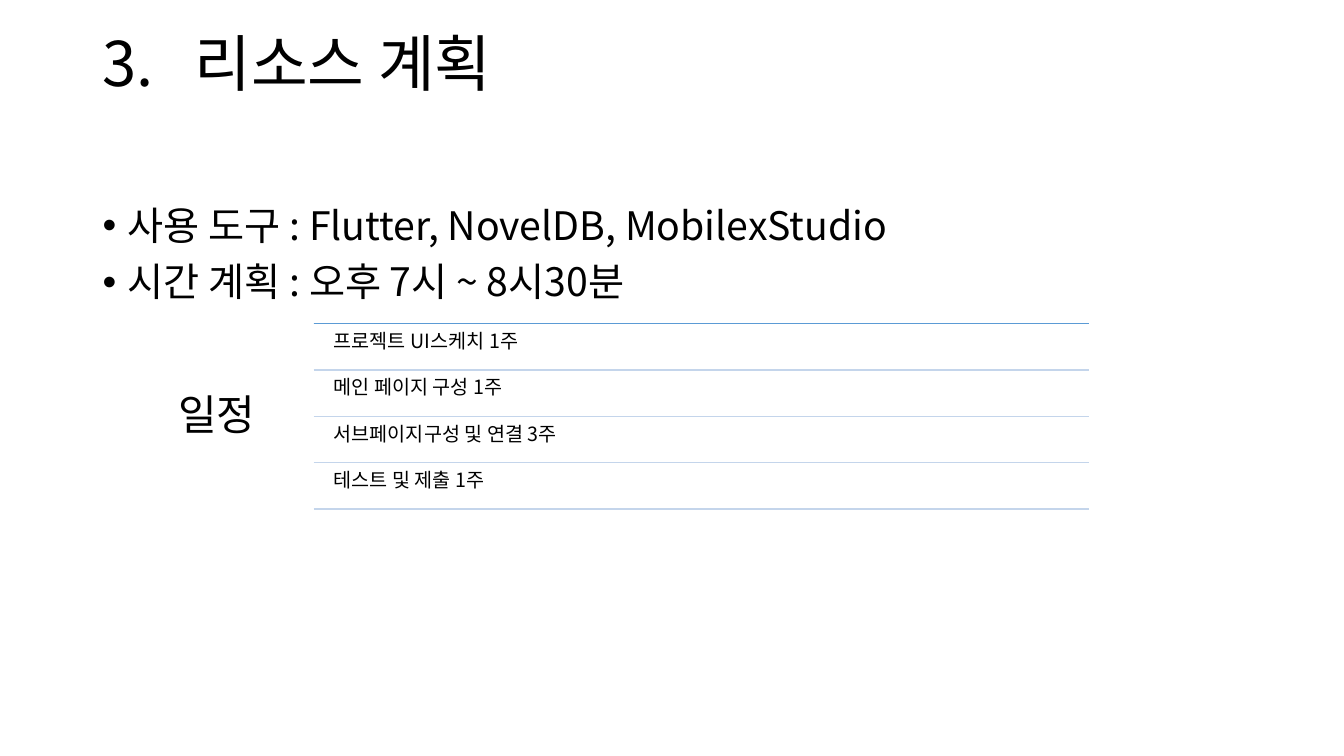
"""Builds a resource plan slide with a title, bullets and a schedule."""
from lxml import etree
from pptx import Presentation
from pptx import util as u
from pptx.dml.color import RGBColor
from pptx.enum import shapes, text
from pptx.oxml.ns import qn

PX = 9144
FONT = "Noto Sans CJK KR"
COLORS = {"ink": "000000", "paper": "FFFFFF", "top": "5B9BD5", "rule": "C4D5EB"}
BULLETS = [
    "사용 도구 : Flutter, NovelDB, MobilexStudio",
    "시간 계획 : 오후 7시 ~ 8시30분",
]
TASKS = [
    "프로젝트 UI스케치 1주",
    "메인 페이지 구성 1주",
    "서브페이지구성 및 연결 3주",
    "테스트 및 제출 1주",
]


def emu(*lengths):
    """Turn px lengths into EMU."""
    return [u.Emu(length * PX) for length in lengths]


def color(name):
    """Look up a named colour."""
    return RGBColor.from_string(COLORS[name])


def add_text(page, box, lines, size, insets=(10, 5), anchor="TOP", align="LEFT",
             before=0, after=0, hang=0, bullet=None):
    """Add a text box with one paragraph per line."""
    frame = page.shapes.add_textbox(*emu(*box)).text_frame
    frame.word_wrap = True
    frame.vertical_anchor = text.MSO_ANCHOR[anchor]
    frame.margin_left = frame.margin_right = emu(insets[0])[0]
    frame.margin_top = frame.margin_bottom = emu(insets[1])[0]
    for index, line in enumerate(lines):
        para = frame.add_paragraph() if index else frame.paragraphs[0]
        para.alignment = text.PP_ALIGN[align]
        para.line_spacing = 0.9
        para.space_before, para.space_after = u.Pt(before), u.Pt(after)
        props = para._p.get_or_add_pPr()
        if hang:
            props.set("marL", str(hang * PX))
            props.set("indent", str(-hang * PX))
        if bullet:
            etree.SubElement(props, qn("a:buFont"), typeface="Arial")
            etree.SubElement(props, qn("a:buChar"), char=bullet)
        span = para.add_run()
        span.text = line
        span.font.size = u.Pt(size)
        span.font.name = FONT
        span.font.color.rgb = color("ink")
        etree.SubElement(span._r.get_or_add_rPr(), qn("a:ea"), typeface=FONT)


def add_rule(page, left, right, top, name):
    """Add a thin horizontal line."""
    rule = page.shapes.add_connector(
        shapes.MSO_CONNECTOR.STRAIGHT, *emu(left, top, right, top))
    rule.line.color.rgb = color(name)
    rule.line.width = u.Pt(1)
    etree.SubElement(rule._element.spPr, qn("a:effectLst"))


def add_frame(page, box):
    """Add an unfilled rectangle with a paper-coloured outline."""
    frame = page.shapes.add_shape(shapes.MSO_SHAPE.RECTANGLE, *emu(*box))
    frame.shadow.inherit = False
    frame.fill.background()
    frame.line.color.rgb = color("paper")
    frame.line.width = u.Pt(0.75)


def add_schedule(page, box):
    """Add the schedule label beside its ruled task rows."""
    left, top, width, height = box
    right, label_width, pitch = left + width, 192, 46
    label_box = (left, top, label_width, height)
    add_rule(page, left, right, top, "top")
    add_frame(page, label_box)
    add_text(page, label_box, ["일정"], 30, insets=(12, 12), anchor="MIDDLE",
             align="CENTER", after=10.5)
    task_left = left + label_width + 14
    for index, task in enumerate(TASKS):
        row_top = top + 2 + index * pitch
        row = (task_left, row_top, right - task_left, 44)
        if index == 0:
            add_frame(page, row)
        add_text(page, row, [task], 14, insets=(6, 6), after=4.9)
        add_rule(page, left + label_width, right, row_top + 44, "rule")


def add_plan(page, box):
    """Place the title, bullets and schedule on the page."""
    left, top, width, height = box
    add_text(page, (left, top, width, 152), ["3.\t리소스 계획"], 44,
             insets=(10, 0), hang=91)
    add_text(page, (left, top + 167, width, height - 167), BULLETS, 28,
             before=10, hang=25, bullet="•")
    add_schedule(page, (left + 27, top + 288, 961, 186))


def main():
    """Build and save the deck."""
    deck = Presentation()
    deck.slide_width, deck.slide_height = emu(1333, 750)
    page = deck.slides.add_slide(deck.slide_layouts[6])
    page.background.fill.solid()
    page.background.fill.fore_color.rgb = color("paper")
    add_plan(page, (92, 33, 1150, 643))
    deck.save("out.pptx")


if __name__ == "__main__":
    main()
